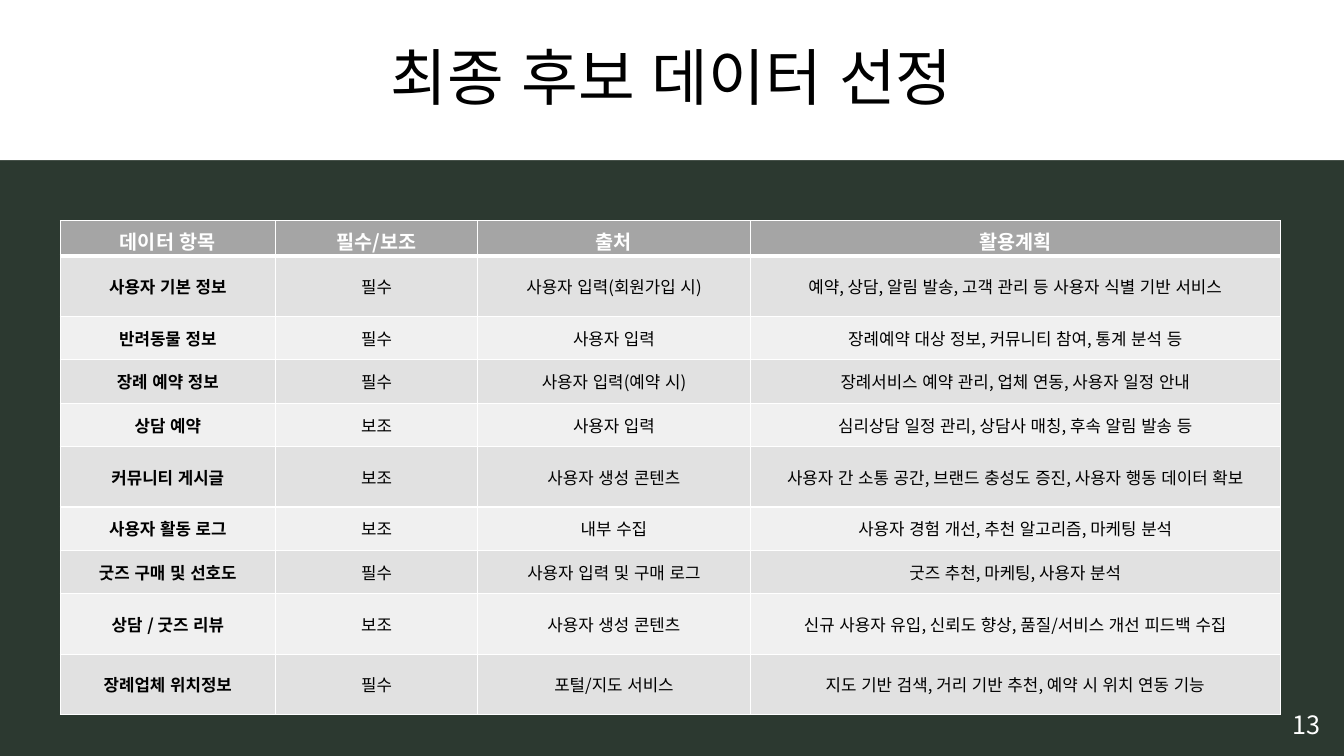
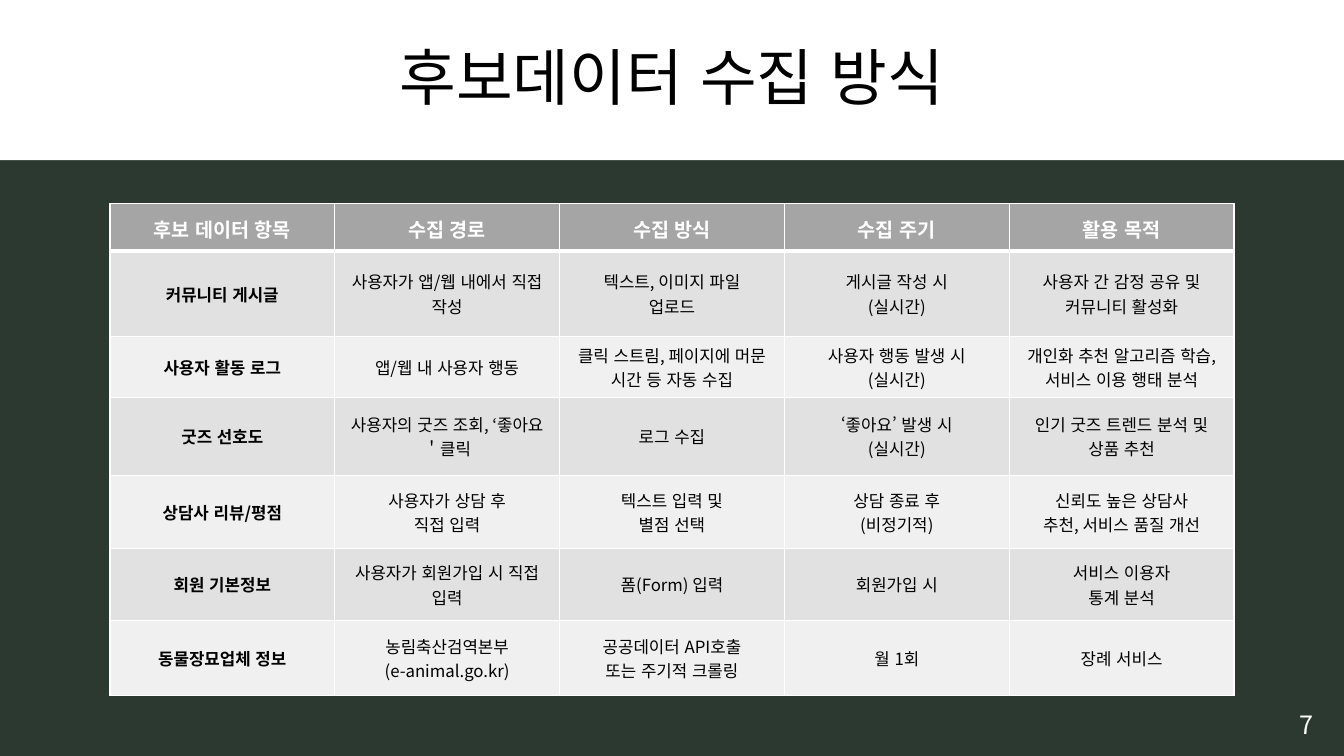
"""Build two slides that list candidate data in tables."""
from dataclasses import dataclass

from lxml import etree
from pptx import Presentation
from pptx.dml.color import RGBColor
from pptx.enum.lang import MSO_LANGUAGE_ID
from pptx.enum.shapes import MSO_SHAPE
from pptx.enum.text import MSO_ANCHOR, MSO_AUTO_SIZE, PP_ALIGN
from pptx.oxml.ns import qn
from pptx.util import Inches, Pt

RECT = MSO_SHAPE.RECTANGLE
MIDDLE = MSO_ANCHOR.MIDDLE
CENTER = PP_ALIGN.CENTER
FIT = MSO_AUTO_SIZE.SHAPE_TO_FIT_TEXT
KOREAN = MSO_LANGUAGE_ID.KOREAN

FACE = "Noto Sans CJK KR"
GREEN, WHITE, BLACK = "2C3930", "FFFFFF", "000000"
GRAY, DARK, LIGHT = "A5A5A5", "E1E1E1", "F0F0F0"
WIDTH, HEIGHT = 13.33, 7.5

TITLE = {"size": Pt(44), "bold": False}
PAGE = {"size": Pt(18), "bold": False}
HEAD = {"size": Pt(14), "bold": True}
LABEL = {"size": Pt(12), "bold": True}
BODY = {"size": Pt(12), "bold": False}


@dataclass
class Sheet:
    """One slide with a title, a page number and a table."""

    title: str
    page: str
    left: float
    top: float
    cols: list[float]
    rows: list[float]
    cells: list[tuple[str, ...]]


SHEETS = [
    Sheet(
        "최종 후보 데이터 선정", "13", 0.6, 2.19,
        [2.13, 2.01, 2.7, 5.26],
        [0.35, 0.6, 0.43, 0.43, 0.43, 0.6, 0.43, 0.43, 0.6, 0.6],
        [
            ("데이터 항목", "필수/보조", "출처", "활용계획"),
            ("사용자 기본 정보", "필수", "사용자 입력(회원가입 시)",
             "예약, 상담, 알림 발송, 고객 관리 등 사용자 식별 기반 서비스"),
            ("반려동물 정보", "필수", "사용자 입력",
             "장례예약 대상 정보, 커뮤니티 참여, 통계 분석 등"),
            ("장례 예약 정보", "필수", "사용자 입력(예약 시)",
             "장례서비스 예약 관리, 업체 연동, 사용자 일정 안내"),
            ("상담 예약", "보조", "사용자 입력",
             "심리상담 일정 관리, 상담사 매칭, 후속 알림 발송 등"),
            ("커뮤니티 게시글", "보조", "사용자 생성 콘텐츠",
             "사용자 간 소통 공간, 브랜드 충성도 증진, 사용자 행동 데이터 확보"),
            ("사용자 활동 로그", "보조", "내부 수집",
             "사용자 경험 개선, 추천 알고리즘, 마케팅 분석"),
            ("굿즈 구매 및 선호도", "필수", "사용자 입력 및 구매 로그",
             "굿즈 추천, 마케팅, 사용자 분석"),
            ("상담 / 굿즈 리뷰", "보조", "사용자 생성 콘텐츠",
             "신규 사용자 유입, 신뢰도 향상, 품질/서비스 개선 피드백 수집"),
            ("장례업체 위치정보", "필수", "포털/지도 서비스",
             "지도 기반 검색, 거리 기반 추천, 예약 시 위치 연동 기능"),
        ],
    ),
    Sheet(
        "후보데이터 수집 방식", "7", 1.09, 2.02,
        [2.23] * 5,
        [0.47, 0.85, 0.6, 0.78, 0.72, 0.72, 0.74],
        [
            ("후보 데이터 항목", "수집 경로", "수집 방식", "수집 주기", "활용 목적"),
            ("커뮤니티 게시글", "사용자가 앱/웹 내에서 직접 작성",
             "텍스트, 이미지 파일\n업로드", "게시글 작성 시\n(실시간)",
             "사용자 간 감정 공유 및 커뮤니티 활성화"),
            ("사용자 활동 로그", "앱/웹 내 사용자 행동",
             "클릭 스트림, 페이지에 머문 시간 등 자동 수집",
             "사용자 행동 발생 시\n(실시간)",
             "개인화 추천 알고리즘 학습, 서비스 이용 행태 분석"),
            ("굿즈 선호도", "사용자의 굿즈 조회, ‘좋아요＇클릭", "로그 수집",
             "‘좋아요’ 발생 시\n(실시간)", "인기 굿즈 트렌드 분석 및 상품 추천"),
            ("상담사 리뷰/평점", "사용자가 상담 후\n직접 입력",
             "텍스트 입력 및\n별점 선택", "상담 종료 후\n(비정기적)",
             "신뢰도 높은 상담사\n추천, 서비스 품질 개선"),
            ("회원 기본정보", "사용자가 회원가입 시 직접 입력", "폼(Form) 입력",
             "회원가입 시", "서비스 이용자\n통계 분석"),
            ("동물장묘업체 정보", "농림축산검역본부\n(e-animal.go.kr)",
             "공공데이터 API호출\n또는 주기적 크롤링", "월 1회", "장례 서비스"),
        ],
    ),
]


def paint(fill, color: str) -> None:
    """Give a fill one solid colour."""
    fill.solid()
    fill.fore_color.rgb = RGBColor.from_string(color)


def write(frame, text: str, form: dict, color: str) -> None:
    """Write centred text in the shared font."""
    frame.text = text
    frame.word_wrap = True
    for para in frame.paragraphs:
        para.alignment = CENTER
        for run in para.runs:
            font = run.font
            for key, value in form.items():
                setattr(font, key, value)
            font.name = FACE
            font.language_id = KOREAN
            paint(font.fill, color)
            latin = run._r.rPr.find(qn("a:latin"))
            asian = etree.Element(qn("a:ea"), typeface=FACE)
            latin.addnext(asian)


def edge(cell, widths: dict[str, int]) -> None:
    """Draw white cell borders of the given point widths."""
    props = cell._tc.get_or_add_tcPr()
    for side, width in widths.items():
        line = etree.SubElement(props, qn(f"a:ln{side}"), w=str(Pt(width)))
        solid = etree.SubElement(line, qn("a:solidFill"))
        etree.SubElement(solid, qn("a:srgbClr"), val=WHITE)


def frame(slide, sheet: Sheet) -> None:
    """Add the title band and the page number."""
    band = slide.shapes.add_shape(RECT, 0, 0, Inches(WIDTH), Inches(1.59))
    band.shadow.inherit = False
    paint(band.fill, WHITE)
    band.line.fill.background()
    write(band.text_frame, sheet.title, TITLE, BLACK)
    band.text_frame.vertical_anchor = MIDDLE
    band.text_frame.paragraphs[0].line_spacing = 0.9
    page = slide.shapes.add_textbox(
        Inches(12.59), Inches(6.99), Inches(0.74), Inches(0.4))
    write(page.text_frame, sheet.page, PAGE, WHITE)
    page.text_frame.auto_size = FIT


def style(cell, text: str, row: int, col: int) -> None:
    """Fill one cell according to its place in the table."""
    edge(cell, {"L": 1, "R": 1, "T": 3 if row == 1 else 1,
                "B": 3 if row == 0 else 1})
    cell.vertical_anchor = MIDDLE
    if row == 0:
        cell.margin_bottom = Inches(0.01)
        form, color, back = HEAD, WHITE, GRAY
    else:
        form, color = BODY if col else LABEL, BLACK
        back = DARK if row % 2 else LIGHT
    paint(cell.fill, back)
    write(cell.text_frame, text, form, color)


def grid(slide, sheet: Sheet) -> None:
    """Add the table of a sheet."""
    table = slide.shapes.add_table(
        len(sheet.rows), len(sheet.cols), Inches(sheet.left),
        Inches(sheet.top), Inches(sum(sheet.cols)),
        Inches(sum(sheet.rows))).table
    for column, width in zip(table.columns, sheet.cols):
        column.width = Inches(width)
    for line, height in zip(table.rows, sheet.rows):
        line.height = Inches(height)
    for row, texts in enumerate(sheet.cells):
        for col, text in enumerate(texts):
            style(table.cell(row, col), text, row, col)


def main() -> None:
    """Build and save the deck."""
    deck = Presentation()
    deck.slide_width, deck.slide_height = Inches(WIDTH), Inches(HEIGHT)
    paint(deck.slide_master.background.fill, GREEN)
    for sheet in SHEETS:
        slide = deck.slides.add_slide(deck.slide_layouts[6])
        frame(slide, sheet)
        grid(slide, sheet)
    deck.save("out.pptx")


if __name__ == "__main__":
    main()
